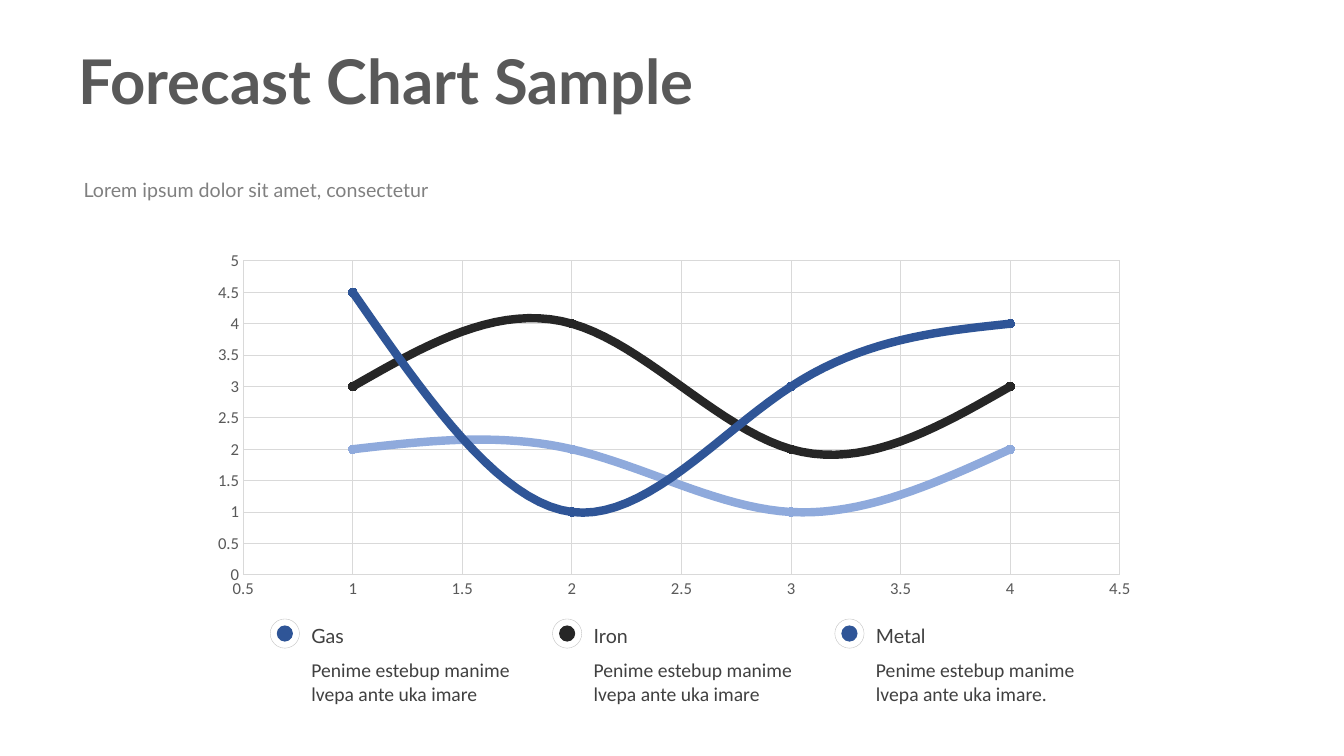
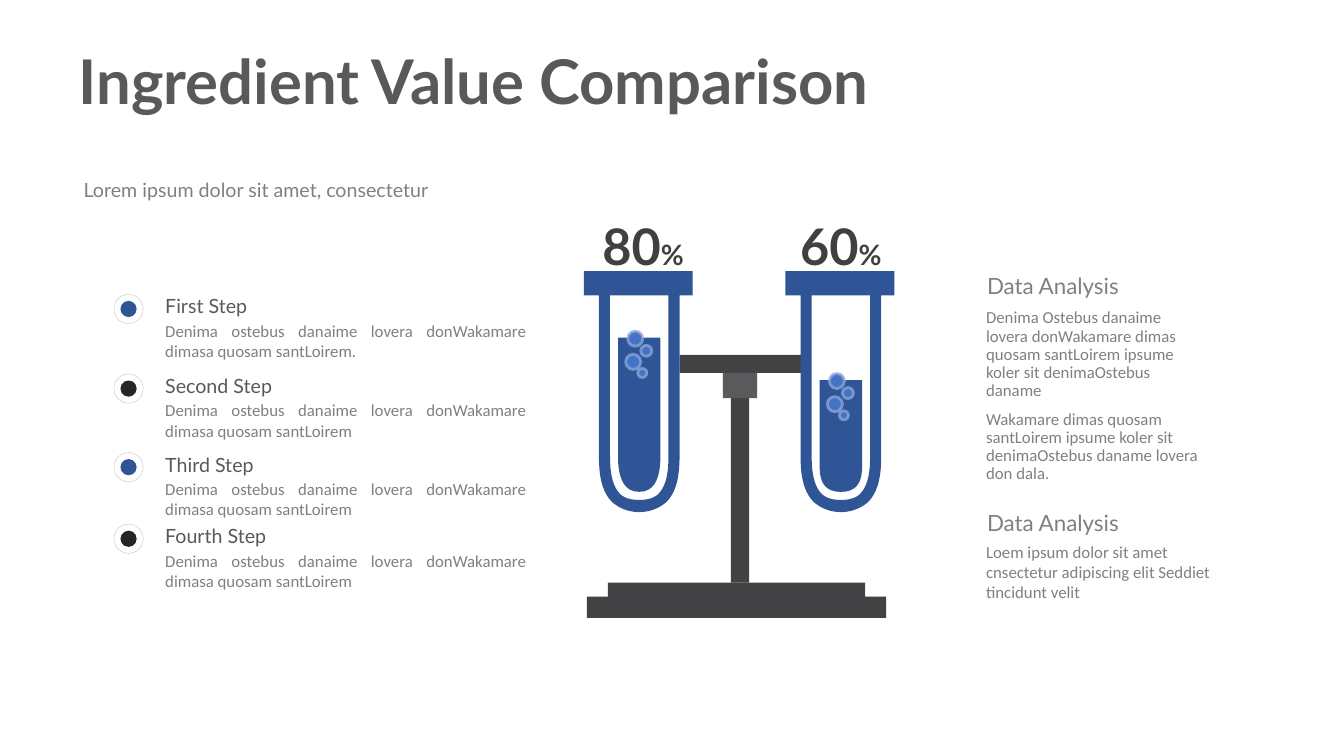
from dataclasses import dataclass

from lxml import etree
from pptx import Presentation
from pptx.chart.data import XyChartData
from pptx.dml.color import RGBColor
from pptx.enum.chart import XL_CHART_TYPE as CHART, XL_MARKER_STYLE as MARKER, XL_TICK_MARK as TICK
from pptx.enum.shapes import MSO_SHAPE as SHAPE
from pptx.enum.text import MSO_AUTO_SIZE as AUTO, PP_ALIGN as ALIGN
from pptx.oxml import parse_xml
from pptx.oxml.ns import nsdecls, qn
from pptx.util import Inches, Pt


@dataclass(frozen=True)
class Theme:
    heading: str = "Lato"
    body: str = "Calibri"
    blue: str = "2F5597"
    black: str = "262626"
    pale: str = "8FAADC"
    bubble: str = "4472C4"
    steel: str = "424143"
    clamp: str = "595A5C"
    dark: str = "595959"
    ink: str = "404040"
    gray: str = "808080"
    ring: str = "BFBFBF"
    grid: str = "D9D9D9"
    title_pt: float = 44
    number_pt: float = 36
    percent_pt: float = 20
    side_pt: float = 16
    label_pt: float = 14
    small_pt: float = 12
    axis_pt: float = 11.9


T = Theme()


def rgb(color):
    return RGBColor.from_string(color)


def style(name, size, color, **extra):
    return dict(name=name, size=Pt(size), color=color, **extra)


TITLE = style(T.heading, T.title_pt, T.dark, bold=True)
SUBTITLE = style(T.heading, T.label_pt, T.gray)
LEGEND = style(T.heading, T.label_pt, T.ink)
LEGEND_NOTE = style(T.body, T.label_pt, T.ink)
STEP = style(T.heading, T.label_pt, T.dark)
SMALL = style(T.body, T.small_pt, T.gray)
SIDE_HEAD = style(T.heading, T.side_pt, T.gray)
NUMBER = style(T.heading, T.number_pt, T.ink, bold=True)
PERCENT = style(T.heading, T.percent_pt, T.ink, bold=True)
AXIS = style(T.body, T.axis_pt, T.dark)


def set_font(font, fmt):
    for key, value in fmt.items():
        if key == "color":
            font.color.rgb = rgb(value)
        else:
            setattr(font, key, value)


def add_text(s, box, paragraphs, inset=True, grow=True, **para_fmt):
    """Each paragraph is a list of (text, style) runs."""
    tf = s.shapes.add_textbox(*map(Inches, box)).text_frame
    tf.word_wrap = True
    tf.auto_size = AUTO.SHAPE_TO_FIT_TEXT if grow else AUTO.NONE
    if not inset:
        for side in ("left", "top", "right", "bottom"):
            setattr(tf, f"margin_{side}", 0)
    for i, runs in enumerate(paragraphs):
        p = tf.add_paragraph() if i else tf.paragraphs[0]
        for key, value in para_fmt.items():
            if i or key != "space_before":
                setattr(p, key, value)
        for text, fmt in runs:
            r = p.add_run()
            r.text = text
            set_font(r.font, fmt)


def paint(sp, fill=None, line=None, width=0.75):
    sp.shadow.inherit = False
    for part, color in ((sp.fill, fill), (sp.line.fill, line)):
        if color:
            part.solid()
            part.fore_color.rgb = rgb(color)
        else:
            part.background()
    if line:
        sp.line.width = Pt(width)
    return sp


def add_preset(s, kind, box, **look):
    return paint(s.shapes.add_shape(kind, *map(Inches, box)), **look)


def add_outline(s, contours, fill):
    """Fill closed contours; a contour inside another is a hole."""
    emu = [[(Inches(x), Inches(y)) for x, y in contour] for contour in contours]
    builder = s.shapes.build_freeform(*emu[0][0])
    for i, (start, *rest) in enumerate(emu):
        if i:
            builder.move_to(*start)
        builder.add_line_segments(rest, close=True)
    paint(builder.convert_to_shape(), fill=fill)


def add_disc(s, cx, cy, d, **look):
    return add_preset(s, SHAPE.OVAL, (cx - d / 2, cy - d / 2, d, d), **look)


def add_marker(s, left, top, color):
    cx, cy = left + 0.145, top + 0.145
    add_disc(s, cx, cy, 0.15, fill=color, line=color)
    add_disc(s, cx, cy, 0.29, line=T.ring, width=0.25)


def add_header(s, title):
    add_text(s, (0.68, 0.55, 9.11, 0.66), [[(title, TITLE)]], line_spacing=Pt(40))
    add_text(s, (0.73, 1.72, 4.25, 0.57),
             [[("Lorem ipsum dolor sit amet, consectetur", SUBTITLE)]])


def format_axis(axis, low, high):
    axis.minimum_scale, axis.maximum_scale, axis.major_unit = low, high, 0.5
    axis.major_tick_mark = axis.minor_tick_mark = TICK.NONE
    axis.format.line.fill.background()
    axis.has_major_gridlines = True
    line = axis.major_gridlines.format.line
    line.color.rgb, line.width = rgb(T.grid), Pt(0.75)
    set_font(axis.tick_labels.font, AXIS)


def place_plot(chart, **fractions):
    """Fix the inner plot area, in fractions of the chart frame."""
    area = chart._chartSpace.find(".//" + qn("c:plotArea"))
    for old in area.findall(qn("c:layout")):
        area.remove(old)
    layout = parse_xml(f"<c:layout {nsdecls('c')}><c:manualLayout/></c:layout>")
    values = dict(layoutTarget="inner", xMode="edge", yMode="edge", **fractions)
    for key, value in values.items():
        etree.SubElement(layout[0], qn(f"c:{key}")).set("val", str(value))
    area.insert(0, layout)


def add_curves(s, box, series):
    data = XyChartData()
    for name, _, values in series:
        points = data.add_series(name)
        for x, y in enumerate(values, 1):
            points.add_data_point(x, y)
    chart = s.shapes.add_chart(CHART.XY_SCATTER_SMOOTH, *map(Inches, box), data).chart
    chart.has_legend = chart.has_title = False
    set_font(chart.font, AXIS)
    format_axis(chart.category_axis, 0.5, 4.5)
    format_axis(chart.value_axis, 0, 5)
    plot = chart.plots[0]
    plot.vary_by_categories = False
    for ser, (_, color, _) in zip(plot.series, series):
        ser.format.line.color.rgb, ser.format.line.width = rgb(color), Pt(6)
        ser.marker.style, ser.marker.size = MARKER.CIRCLE, 6
        for part in (ser.marker.format.fill, ser.marker.format.line.fill):
            part.solid()
            part.fore_color.rgb = rgb(color)
    for smooth in chart._chartSpace.iter(qn("c:smooth")):
        smooth.set("val", "1")
    place_plot(chart, x=0.05, y=0.05, w=0.92, h=0.87)


def bezier(a, b, c, d, steps=12):
    for i in range(steps + 1):
        t = i / steps
        u = 1 - t
        yield tuple(u**3 * p + 3 * u * u * t * q + 3 * u * t * t * r + t**3 * v
                    for p, q, r, v in zip(a, b, c, d))


def cup(cx, top, *curves):
    """U outline: curves give its left half relative to the centre line."""
    half = [(curves[0][0][0], top)]
    for curve in curves:
        half += bezier(*curve)
    return ([(cx + x, y) for x, y in half]
            + [(cx - x, y) for x, y in reversed(half)])


def add_liquid(s, cx, level, bend):
    curve = (-0.21, bend), (-0.21, bend + 0.1), (-0.22, 4.88), (0, 4.88)
    add_outline(s, [cup(cx, level, curve)], T.blue)
    for dx, dy, d in ((-0.04, 0.01, 0.15), (0.07, 0.13, 0.11),
                      (-0.06, 0.24, 0.15), (0.03, 0.35, 0.09)):
        sp = add_disc(s, cx + dx, level + dy, d, fill=T.bubble, line=T.pale, width=2)
        color = sp.line._ln.find(".//" + qn("a:srgbClr"))
        etree.SubElement(color, qn("a:alpha")).set("val", "73000")


def add_tube(s, cx):
    lip, rim = 2.93, 2.69
    wall = cup(cx, lip,
               ((-0.4, 4.49), (-0.4, 4.63), (-0.4, 4.85), (-0.27, 4.98)),
               ((-0.27, 4.98), (-0.2, 5.04), (-0.11, 5.08), (0, 5.08)))
    hole = cup(cx, lip,
               ((-0.29, 4.49), (-0.29, 4.61), (-0.29, 4.8), (-0.19, 4.9)),
               ((-0.19, 4.9), (-0.15, 4.94), (-0.08, 4.96), (0, 4.96)))
    left, right = cx - 0.55, cx + 0.53
    add_outline(s, [hole, [(left, lip), *wall, (right, lip), (right, rim), (left, rim)]],
                T.blue)


def add_stand(s):
    add_preset(s, SHAPE.RECTANGLE, (6.74, 3.52, 1.22, 0.18), fill=T.steel)
    add_outline(s, [[(5.82, 6.13), (5.82, 5.92), (6.03, 5.92), (6.03, 5.78),
                     (8.58, 5.78), (8.58, 5.92), (8.79, 5.92), (8.79, 6.13)]], T.steel)
    add_preset(s, SHAPE.RECTANGLE, (7.25, 3.62, 0.18, 2.16), fill=T.steel)
    add_preset(s, SHAPE.RECTANGLE, (7.17, 3.7, 0.34, 0.25), fill=T.clamp)


def forecast_slide(s):
    add_curves(s, (1.94, 2.41, 9.45, 3.58), [
        ("Series 1", T.blue, (4.5, 1, 3, 4)),
        ("Series 2", T.black, (3, 4, 2, 3)),
        ("Series 3", T.pale, (2, 2, 1, 2)),
    ])
    add_header(s, "Forecast Chart Sample")
    note = "Penime estebup manime lvepa ante uka imare"
    legend = (("Gas", T.blue, note), ("Iron", T.black, note), ("Metal", T.blue, note + "."))
    for i, (name, color, text) in enumerate(legend):
        left = 2.99 + 2.8 * i
        add_text(s, (left, 6.14, 2.13, 0.34), [[(name, LEGEND)]])
        add_text(s, (left, 6.48, 2.36, 0.57), [[(text, LEGEND_NOTE)]])
        add_marker(s, left - 0.31, 6.14, color)


def comparison_slide(s):
    add_header(s, "Ingredient Value Comparison")
    add_text(s, (9.78, 3.07, 2.12, 1.75), [
        [("Denima Ostebus danaime lovera donWakamare dimas quosam santLoirem "
          "ipsume koler sit denimaOstebus daname", SMALL)],
        [("Wakamare dimas quosam santLoirem ipsume koler sit "
          "denimaOstebus daname lovera don dala.", SMALL)],
    ], inset=False, grow=False, line_spacing=0.9, space_before=Pt(7.5))
    for top in (2.73, 5.08):
        add_text(s, (9.79, top, 2.13, 0.29), [[("Data Analysis", SIDE_HEAD)]],
                 inset=False, grow=False, line_spacing=0.9)
    add_text(s, (9.78, 5.37, 2.29, 0.61),
             [[("Loem ipsum dolor sit amet cnsectetur adipiscing elit Seddiet "
                "tincidunt velit", SMALL)]], inset=False)

    note = "Denima ostebus danaime lovera donWakamare dimasa quosam santLoirem"
    for name, top, color, text in (("First Step", 2.87, T.blue, note + "."),
                                   ("Second Step", 3.66, T.black, note),
                                   ("Third Step", 4.44, T.blue, note),
                                   ("Fourth Step", 5.15, T.black, note)):
        add_text(s, (1.54, top, 2.3, 0.34), [[(name, STEP)]])
        add_text(s, (1.54, top + 0.26, 3.78, 0.5), [[(text, SMALL)]],
                 alignment=ALIGN.JUSTIFY)
        add_marker(s, 1.13, top + 0.05, color)

    add_stand(s)
    for cx, level, bend, number, left in ((6.34, 3.35, 4.49, "80", 5.85),
                                          (8.34, 3.77, 4.59, "60", 7.81)):
        add_liquid(s, cx, level, bend)
        add_tube(s, cx)
        add_text(s, (left, 2.08, 1.06, 0.71), [[(number, NUMBER), ("%", PERCENT)]],
                 alignment=ALIGN.CENTER)


def main():
    prs = Presentation()
    prs.slide_width, prs.slide_height = Inches(13.33), Inches(7.5)
    for build in (forecast_slide, comparison_slide):
        build(prs.slides.add_slide(prs.slide_layouts[6]))
    prs.save("out.pptx")


if __name__ == "__main__":
    main()
